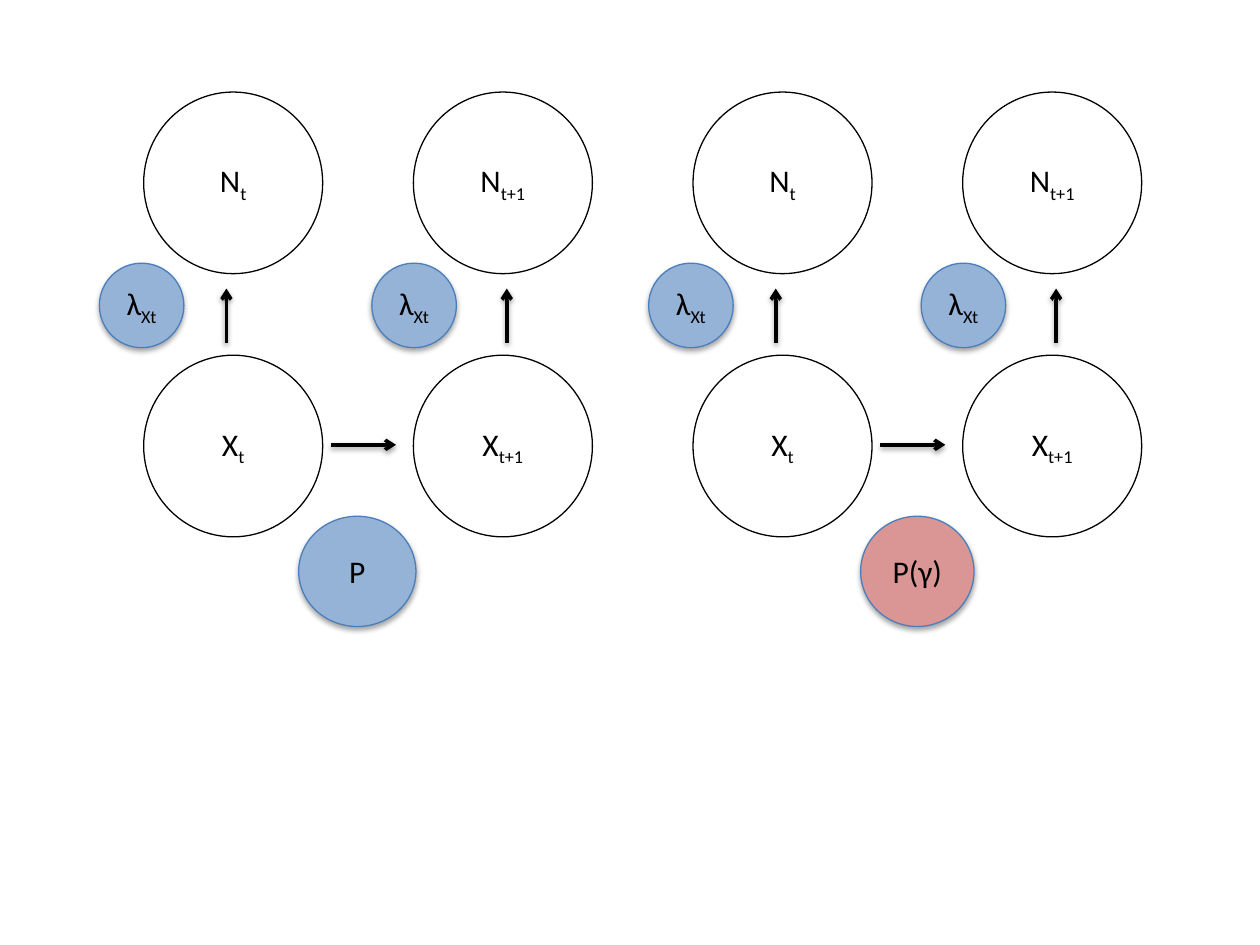
"""Build a slide with two state diagrams, with fixed and with varying transitions."""
from lxml import etree
from pptx import Presentation
from pptx.dml.color import RGBColor
from pptx.enum.shapes import MSO_CONNECTOR, MSO_SHAPE
from pptx.enum.text import MSO_ANCHOR, PP_ALIGN
from pptx.oxml.ns import qn
from pptx.util import Pt

OVAL = MSO_SHAPE.OVAL
STRAIGHT = MSO_CONNECTOR.STRAIGHT
MIDDLE = MSO_ANCHOR.MIDDLE
CENTER = PP_ALIGN.CENTER

BLACK, WHITE, BLUE, RED, EDGE = "000000", "FFFFFF", "95B3D7", "D99694", "4B7EBC"
FONT, TEXT_SIZE = "Calibri", 18

PANELS = [
    {"transition": "P", "left": 170.7, "width": 67, "fill": BLUE},
    {"transition": "P(γ)", "left": 491.8, "width": 64.8, "fill": RED},
]
PANEL_PITCH = 313.9
ROWS = [("N", 52.6), ("X", 203)]
COLUMNS = [
    {"time": "t", "node": 82.1, "rate": 56.8, "arrow": 129.4},
    {"time": "t+1", "node": 236.2, "rate": 212.5, "arrow": 289.6},
]
NODE_SIZE = (102.3, 103.8)
RATE_TOP, RATE_SIZE = 150.4, 48.3
TRANSITION_TOP, TRANSITION_HEIGHT = 295, 63
ARROW_BOTTOM, ARROW_TOP = 195.8, 164.9
STEP_START, STEP_END, STEP_Y = 189.2, 226.3, 254.2


def color(value):
    return RGBColor.from_string(value)


def add_shadow(shape, distance, opacity):
    properties = shape.element.spPr
    effects = properties.find(qn("a:effectLst"))
    if effects is None:
        effects = etree.SubElement(properties, qn("a:effectLst"))
    shadow = etree.SubElement(
        effects, qn("a:outerShdw"), blurRad=str(Pt(3.1)), dist=str(Pt(distance)),
        dir="5400000", rotWithShape="0")
    shade = etree.SubElement(shadow, qn("a:srgbClr"), val=BLACK)
    etree.SubElement(shade, qn("a:alpha"), val=str(opacity * 1000))


def add_circle(slide, box, base, subscript="", fill=WHITE, edge=BLACK):
    shape = slide.shapes.add_shape(OVAL, *map(Pt, box))
    shape.fill.solid()
    shape.fill.fore_color.rgb = color(fill)
    shape.line.color.rgb = color(edge)
    shape.line.width = Pt(0.75)
    shape.shadow.inherit = False
    if fill != WHITE:
        add_shadow(shape, 1.8, 35)
    frame = shape.text_frame
    frame.word_wrap = False
    frame.vertical_anchor = MIDDLE
    frame.margin_left = frame.margin_right = 0
    paragraph = frame.paragraphs[0]
    paragraph.alignment = CENTER
    for text, baseline in ((base, 0), (subscript, -25000)):
        if text:
            run = paragraph.add_run()
            run.text = text
            run.font.name = FONT
            run.font.size = Pt(TEXT_SIZE)
            run.font.color.rgb = color(BLACK)
            if baseline:
                run.font._element.set("baseline", str(baseline))


def add_arrow(slide, *ends):
    arrow = slide.shapes.add_connector(STRAIGHT, *map(Pt, ends))
    arrow.line.color.rgb = color(BLACK)
    arrow.line.width = Pt(2)
    etree.SubElement(arrow.line._get_or_add_ln(), qn("a:tailEnd"), type="arrow")
    add_shadow(arrow, 1.6, 38)


def add_panel(slide, panel, offset):
    for column in COLUMNS:
        for variable, top in ROWS:
            add_circle(slide, (offset + column["node"], top, *NODE_SIZE),
                       variable, column["time"])
    add_arrow(slide, offset + STEP_START, STEP_Y, offset + STEP_END, STEP_Y)
    for column in COLUMNS:
        x = offset + column["arrow"]
        add_arrow(slide, x, ARROW_BOTTOM, x, ARROW_TOP)
        add_circle(slide, (offset + column["rate"], RATE_TOP, RATE_SIZE, RATE_SIZE),
                   "λ", "Xt", BLUE, EDGE)
    box = (panel["left"], TRANSITION_TOP, panel["width"], TRANSITION_HEIGHT)
    add_circle(slide, box, panel["transition"], fill=panel["fill"], edge=EDGE)


def main():
    presentation = Presentation()
    presentation.slide_width, presentation.slide_height = Pt(720), Pt(540)
    slide = presentation.slides.add_slide(presentation.slide_layouts[6])
    for index, panel in enumerate(PANELS):
        add_panel(slide, panel, index * PANEL_PITCH)
    presentation.save("out.pptx")


if __name__ == "__main__":
    main()
